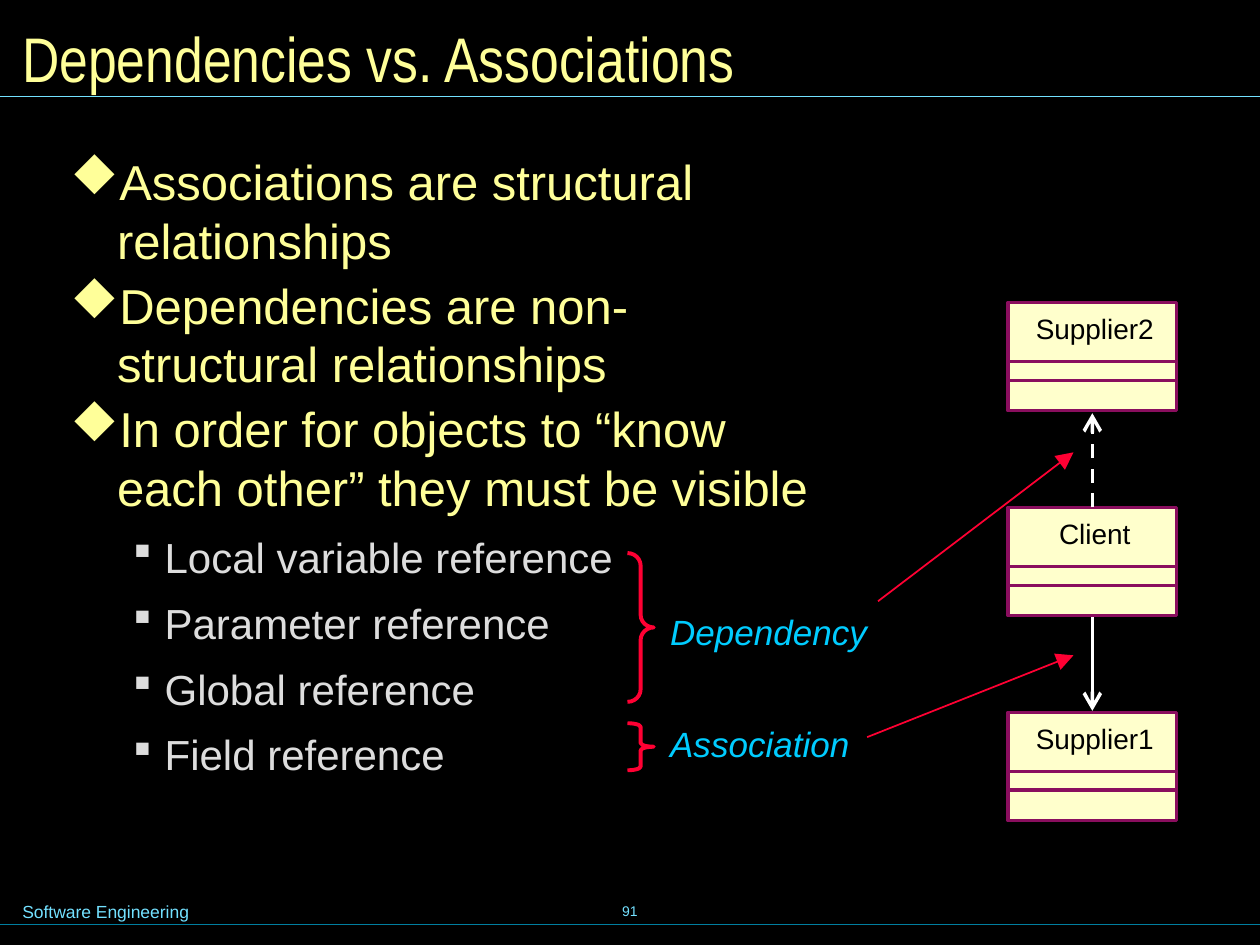
from lxml.etree import SubElement
from pptx import Presentation
from pptx.dml.color import RGBColor
from pptx.enum.dml import MSO_LINE
from pptx.enum.shapes import MSO_CONNECTOR, MSO_SHAPE
from pptx.enum.text import MSO_ANCHOR, PP_ALIGN
from pptx.oxml.ns import qn
from pptx.util import Cm, Pt

WIDE, HIGH = 25.4, 19.05
YELLOW, GREY, SKY, CYAN = "FFFF99", "DDDDDD", "73E1FF", "00CCFF"
RED, CREAM, PLUM, WHITE = "FF0033", "FFFFCC", "8A0E5E", "FFFFFF"
DIAMOND, SQUARE = "u", "§"  # Wingdings codes for ⬥ and ▪


def rgb(code):
    return RGBColor.from_string(code)


def write(para, words, size=20, color=YELLOW, font="Arial", italic=False,
          align=PP_ALIGN.LEFT):
    para.alignment = align
    run = para.add_run()
    run.text = words
    run.font.size = Pt(size)
    run.font.name = font
    run.font.italic = italic
    run.font.color.rgb = rgb(color)


def frame(slide, x, y, w, h, inset=(0.25, 0.13), anchor=MSO_ANCHOR.TOP,
          fill=None):
    """Add an empty text box and return its text frame."""
    box = slide.shapes.add_textbox(Cm(x), Cm(y), Cm(w), Cm(h))
    if fill:
        box.fill.solid()
        box.fill.fore_color.rgb = rgb(fill)
    text = box.text_frame
    text.word_wrap = True
    text.vertical_anchor = anchor
    text.margin_left = text.margin_right = Cm(inset[0])
    text.margin_top = text.margin_bottom = Cm(inset[1])
    return text


def line(slide, x1, y1, x2, y2, color, width, head=None, dash=False):
    link = slide.shapes.add_connector(
        MSO_CONNECTOR.STRAIGHT, Cm(x1), Cm(y1), Cm(x2), Cm(y2))
    link.line.color.rgb = rgb(color)
    link.line.width = Pt(width)
    if dash:
        link.line.dash_style = MSO_LINE.DASH
    if head:
        SubElement(link.line._get_or_add_ln(), qn("a:tailEnd"), type=head,
                   w="lg", len="lg")
    SubElement(link._element.spPr, qn("a:effectLst"))


def bullet(para, mark, color, left, hang):
    props = para._p.get_or_add_pPr()
    props.set("marL", str(Cm(left)))
    props.set("indent", str(-Cm(hang)))
    tint = SubElement(props, qn("a:buClr"))
    SubElement(tint, qn("a:srgbClr"), val=color)
    SubElement(props, qn("a:buFont"), typeface="Wingdings", pitchFamily="2",
               charset="2")
    SubElement(props, qn("a:buChar"), char=mark)


def header(slide, x, y, w, h):
    text = frame(slide, x + 0.2, y + 0.2, w - 0.4, h, anchor=MSO_ANCHOR.MIDDLE)
    write(text.paragraphs[0], "Dependencies vs. Associations", size=36,
          font="Arial Narrow")
    line(slide, x, y + 1.94, x + w, y + 1.94, SKY, 0.75)


def footer(slide, x, y, w):
    line(slide, x, y + 0.9, x + w, y + 0.9, "007E9F", 0.75)
    text = frame(slide, x + 0.2, y + 0.3, 7.5, 0.69)
    write(text.paragraphs[0], "Software Engineering", size=10, color=SKY)
    text = frame(slide, x + w / 2 - 4, y, 8, 1.27, anchor=MSO_ANCHOR.MIDDLE)
    write(text.paragraphs[0], "91", size=8, color=SKY, align=PP_ALIGN.CENTER)


def body(slide, x, y, w, h):
    points = ["Associations are structural relationships",
              "Dependencies are non-structural relationships",
              "In order for objects to “know each other” they must be visible"]
    kinds = ["Local variable reference", "Parameter reference",
             "Global reference", "Field reference"]
    text = frame(slide, x, y, w, h, inset=(0.3, 0.15))
    for i, words in enumerate(points + kinds):
        para = text.add_paragraph() if i else text.paragraphs[0]
        if i < len(points):
            if i:
                para.space_before = Pt(3.5)
            bullet(para, DIAMOND, YELLOW, 0.94, 0.94)
            write(para, words, size=28)
        else:
            para.level = 1
            para.line_spacing = 1.2
            para.space_before = Pt(3)
            bullet(para, SQUARE, GREY, 1.9, 0.64)
            write(para, words, size=24, color=GREY)


def group(slide, x, y, h, bend, name, drop):
    """Bracket a group of bullets and name it, drop below the top."""
    brace = slide.shapes.add_shape(
        MSO_SHAPE.RIGHT_BRACE, Cm(x), Cm(y), Cm(0.53), Cm(h))
    brace.shadow.inherit = False
    brace.adjustments[0] = bend
    brace.fill.background()
    brace.line.color.rgb = rgb(RED)
    brace.line.width = Pt(2.25)
    text = frame(slide, x + 0.61, y + drop, 5.1, 1.12)
    write(text.paragraphs[0], name, color=CYAN, italic=True)


def entity(slide, x, y, w, h, name, wide):
    box = slide.shapes.add_shape(
        MSO_SHAPE.RECTANGLE, Cm(x), Cm(y), Cm(w), Cm(h))
    box.shadow.inherit = False
    box.fill.solid()
    box.fill.fore_color.rgb = rgb(CREAM)
    box.line.color.rgb = rgb(PLUM)
    box.line.width = Pt(2)
    for drop in (1.19, 1.57):
        line(slide, x, y + drop, x + w, y + drop, PLUM, 2)
    text = frame(slide, x + (w - wide) / 2 + 0.05, y + 0.18, wide, 0.69,
                 inset=(0, 0), fill=CREAM)
    text.word_wrap = False
    write(text.paragraphs[0], name, size=16, color="000000",
          align=PP_ALIGN.CENTER)


def diagram(slide, x, y, w, h, step):
    """Stack the classes and join the middle one to its neighbours."""
    names = [("Supplier2", 2.4), ("Client", 1.45), ("Supplier1", 2.4)]
    for i, (name, wide) in enumerate(names):
        entity(slide, x, y + i * step, w, h, name, wide)
    mid, top = x + w / 2, y + step
    line(slide, mid, top, mid, y + h + 0.05, WHITE, 2, "arrow", dash=True)
    line(slide, mid, top + h + 0.03, mid, top + step - 0.03, WHITE, 2, "arrow")


def main():
    deck = Presentation()
    deck.slide_width, deck.slide_height = Cm(WIDE), Cm(HIGH)
    slide = deck.slides.add_slide(deck.slide_layouts[6])
    slide.background.fill.solid()
    slide.background.fill.fore_color.rgb = rgb("000000")
    footer(slide, 0, 17.73, WIDE)
    header(slide, 0, 0, WIDE, 1.9)
    body(slide, 1.12, 2.9, 15.65, 14.02)
    group(slide, 12.65, 11.15, 3, 0.48, "Dependency", 1.02)
    group(slide, 12.65, 14.58, 0.95, 0.14, "Association", -0.15)
    diagram(slide, 20.32, 6.1, 3.4, 2.18, 4.13)
    line(slide, 17.7, 12.12, 21.64, 9.12, RED, 1, "triangle")
    line(slide, 17.48, 14.86, 21.64, 13.21, RED, 1, "triangle")
    deck.save("out.pptx")


if __name__ == "__main__":
    main()
